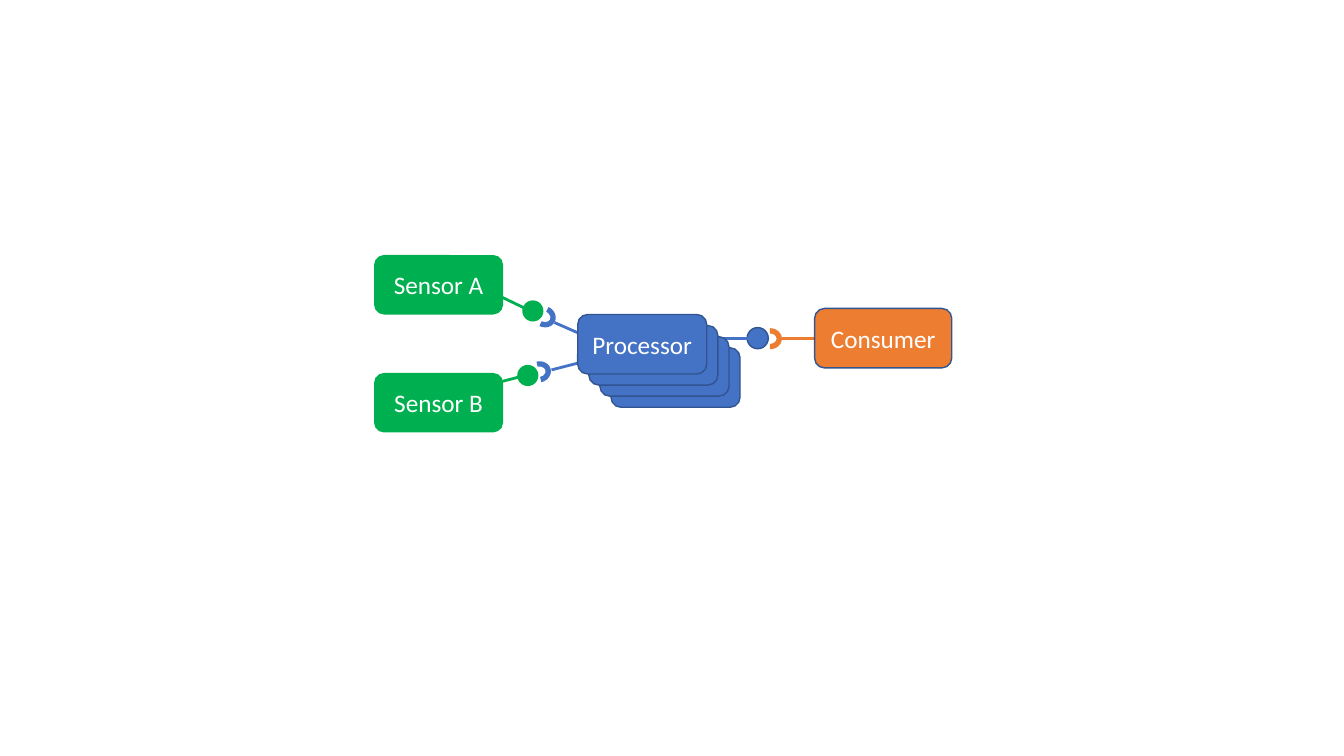
from lxml import etree
from pptx import Presentation
from pptx.dml.color import RGBColor
from pptx.enum import shapes, text
from pptx.oxml.ns import qn
from pptx.util import Inches, Pt

GREEN = RGBColor(0x00, 0xB0, 0x50)
BLUE = RGBColor(0x44, 0x72, 0xC4)
ORANGE = RGBColor(0xED, 0x7D, 0x31)
OUTLINE = RGBColor(0x32, 0x54, 0x91)
WHITE = RGBColor(0xFF, 0xFF, 0xFF)

# Links: socket line, socket centre, ball centre, ball line, angle, colours, ball outline
LINKS = [
    ((5.74, 3.6, 5.47, 3.67), (5.345, 3.69), (5.235, 3.725),
     (5.15, 3.74, 4.88, 3.81), 166.8, BLUE, GREEN, None),
    ((5.75, 3.31, 5.5, 3.2), (5.395, 3.14), (5.285, 3.085),
     (5.21, 3.06, 4.96, 2.94), 205.6, BLUE, GREEN, None),
    ((8.34, 3.36, 7.76, 3.36), (7.635, 3.36), (7.515, 3.355),
     (7.43, 3.36, 6.89, 3.36), 180, ORANGE, BLUE, OUTLINE),
]
BALL, SOCKET_H = 0.21, 0.24

# Boxes: label, left, top, width, fill, outline
BOX_W, BOX_H = 1.28, 0.59
BOXES = [
    ("Sensor A", 3.71, 2.53, BOX_W, GREEN, None),
    ("Consumer", 8.08, 3.06, 1.36, ORANGE, OUTLINE),
    ("Sensor B", 3.71, 3.7, BOX_W, GREEN, None),
]
STACK_LEFT, STACK_TOP, STACK_STEP = 5.73, 3.12, 0.11
BOXES += [("" if i else "Processor", STACK_LEFT + i * STACK_STEP,
           STACK_TOP + i * STACK_STEP, BOX_W, BLUE, OUTLINE)
          for i in (3, 2, 1, 0)]

prs = Presentation()
prs.slide_width, prs.slide_height = Inches(13.33), Inches(7.5)
s = prs.slides.add_slide(prs.slide_layouts[6])


def add_shape(kind, left, top, width, height, fill, outline=None):
    sp = s.shapes.add_shape(kind, Inches(left), Inches(top), Inches(width), Inches(height))
    sp.shadow.inherit = False
    sp.fill.solid()
    sp.fill.fore_color.rgb = fill
    if outline is None:
        sp.line.fill.background()
    else:
        sp.line.color.rgb = outline
        sp.line.width = Pt(1)
    return sp


def add_line(ends, color):
    line = s.shapes.add_connector(shapes.MSO_CONNECTOR.STRAIGHT, *map(Inches, ends))
    line.line.color.rgb = color
    line.line.width = Pt(2)
    etree.SubElement(line._element.spPr, qn("a:effectLst"))


# Ball-and-socket links
for socket_line, socket, ball, ball_line, angle, socket_color, ball_color, outline in LINKS:
    add_line(socket_line, socket_color)
    sp = add_shape(shapes.MSO_SHAPE.BLOCK_ARC, socket[0] - BALL / 2,
                   socket[1] - SOCKET_H / 2, BALL, SOCKET_H, socket_color)
    sp.rotation = angle - 90
    add_shape(shapes.MSO_SHAPE.OVAL, ball[0] - BALL / 2, ball[1] - BALL / 2,
              BALL, BALL, ball_color, outline)
    add_line(ball_line, ball_color)

# Component boxes, with the processor stack in front
for label, left, top, width, fill, outline in BOXES:
    sp = add_shape(shapes.MSO_SHAPE.ROUNDED_RECTANGLE, left, top, width, BOX_H, fill, outline)
    if label:
        tf = sp.text_frame
        tf.vertical_anchor = text.MSO_ANCHOR.MIDDLE
        p = tf.paragraphs[0]
        p.text = label
        p.alignment = text.PP_ALIGN.CENTER
        p.font.name, p.font.size = "Calibri", Pt(18)
        p.font.color.rgb = WHITE

prs.save("out.pptx")
